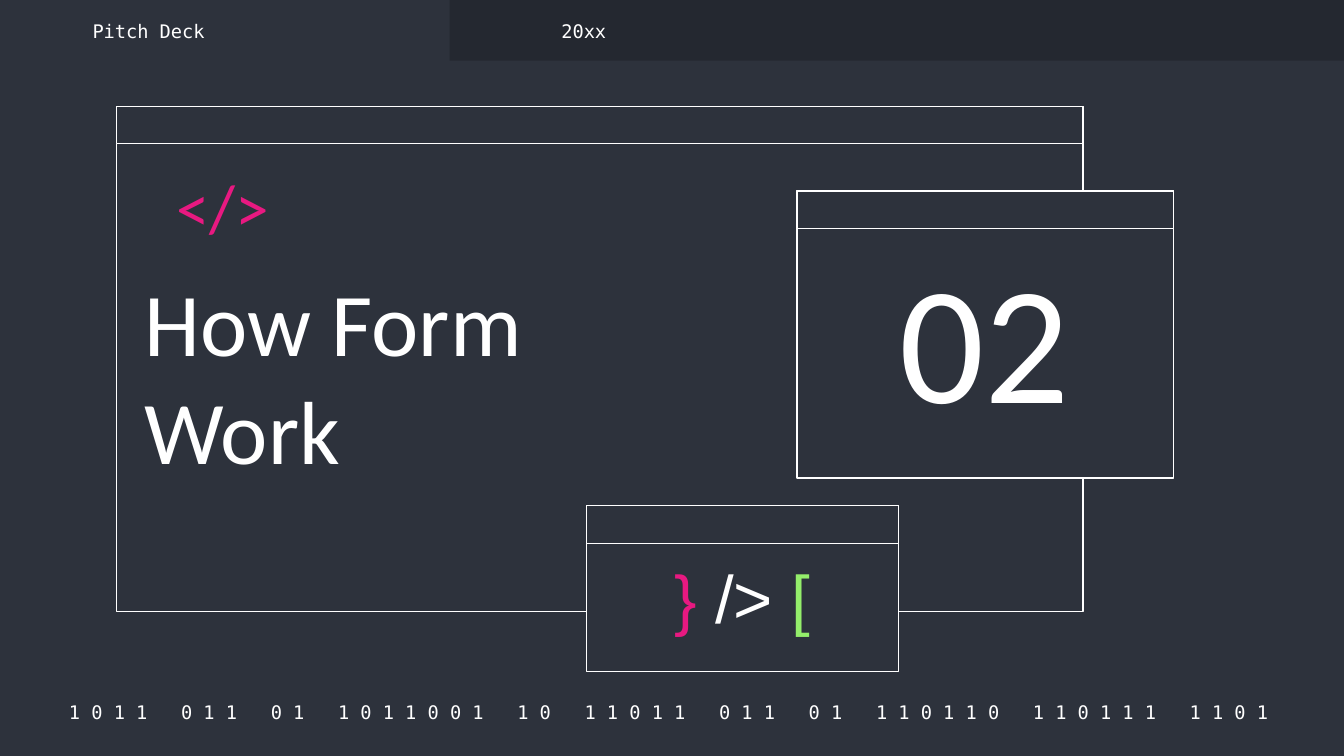
from pptx import Presentation
from pptx.dml.color import RGBColor
from pptx.enum.shapes import MSO_SHAPE
from pptx.enum.text import MSO_ANCHOR, PP_ALIGN
from pptx.util import Cm, Pt

RECT = MSO_SHAPE.RECTANGLE
TOP, MID, LOW = MSO_ANCHOR.TOP, MSO_ANCHOR.MIDDLE, MSO_ANCHOR.BOTTOM
LEFT, MIDST, RIGHT = PP_ALIGN.LEFT, PP_ALIGN.CENTER, PP_ALIGN.RIGHT

THEME = {
    "base": "2D323C", "dark": "242830", "white": "FFFFFF",
    "pink": "E81981", "green": "94EE6B",
    "head": "Calibri", "mono": "DejaVu Sans Mono", "sign": "Arial",
    "small": 10, "mark": 36, "title": 48, "big": 90, "rule": 0.75,
}
WIDE, HIGH = 25.4, 14.29
TABS = [("Pitch Deck", 1.5), ("20xx", 10.36)]
BITS = ["1011", "011", "01", "1011001", "10", "11011",
        "011", "01", "110110", "110111", "1101"]
PANES = [(2.2, 2.01, 18.27, 9.55), (11.09, 9.56, 5.89, 3.13),
         (15.06, 3.61, 7.12, 5.43)]
BAR = 0.71
GAP = "1204"
SIGNS = [("}", "pink"), (" /> ", "white"), ("[", "green")]


def tint(name):
    return RGBColor.from_string(THEME[name])


def add_rect(slide, box, fill, line=None):
    shape = slide.shapes.add_shape(RECT, *map(Cm, box))
    shape.shadow.inherit = False
    shape.fill.solid()
    shape.fill.fore_color.rgb = tint(fill)
    if line:
        shape.line.color.rgb = tint(line)
        shape.line.width = Pt(THEME["rule"])
    else:
        shape.line.fill.background()


def add_text(slide, runs, box, font="mono", size="small", color="white",
             align=LEFT, anchor=TOP, space=None):
    frame = slide.shapes.add_textbox(*map(Cm, box)).text_frame
    frame.word_wrap = True
    frame.vertical_anchor = anchor
    frame.margin_left = frame.margin_right = Cm(0.25)
    frame.margin_top = frame.margin_bottom = Cm(0.25)
    para = frame.paragraphs[0]
    para.alignment = align
    if space:
        para.line_spacing = space
    for text, hue in [(runs, color)] if isinstance(runs, str) else runs:
        run = para.add_run()
        run.text = text
        run.font.name = THEME[font]
        run.font.size = Pt(THEME[size])
        run.font.color.rgb = tint(hue)
    return para


def add_bits(slide):
    runs = []
    for word in BITS:
        runs += [(" ".join(word), "white"), (" ", "white")]
    para = add_text(slide, runs[:-1], (0.86, 13.21, 23.55, 0.51),
                    align=MIDST, anchor=MID)
    for gap in para.runs[1::2]:
        gap.font._element.set("spc", GAP)


def main():
    deck = Presentation()
    deck.slide_width, deck.slide_height = Cm(WIDE), Cm(HIGH)
    slide = deck.slides.add_slide(deck.slide_layouts[6])
    slide.background.fill.solid()
    slide.background.fill.fore_color.rgb = tint("base")

    add_bits(slide)
    add_rect(slide, (8.5, 0, WIDE - 8.5, 1.15), "dark")
    for left, top, width, height in PANES:
        for tall in (height, BAR):
            add_rect(slide, (left, top, width, tall), "base", "white")

    add_text(slide, "How Form Work", (2.49, 4.8, 11.07, 2.29),
             font="head", size="title")
    add_text(slide, "02", (15.53, 4.32, 6.17, 4.19), font="head", size="big",
             align=MIDST, anchor=LOW)
    add_text(slide, "</>", (2.34, 3.05, 3, 1.57), font="head", size="mark",
             color="pink", align=RIGHT, space=0.9)
    for label, left in TABS:
        add_text(slide, label, (left, 0.33, 5.56, 0.51), anchor=MID)
    add_text(slide, SIGNS, (12.34, 10.44, 3.38, 2.08), font="sign",
             size="mark", align=MIDST, space=0.9)
    deck.save("out.pptx")


if __name__ == "__main__":
    main()
